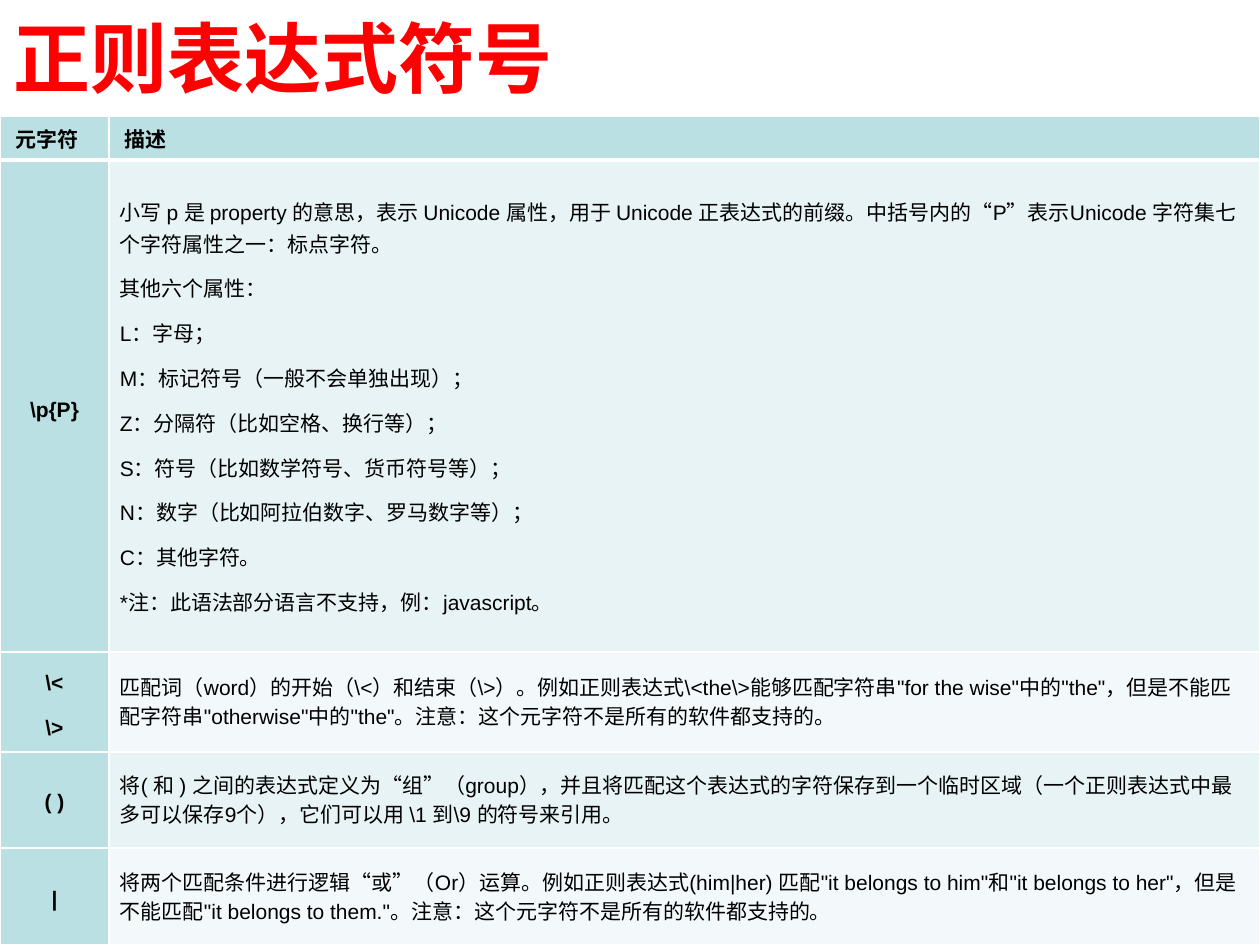
"""Builds a slide with a table of regular expression symbols."""
from lxml import etree
from pptx import Presentation
from pptx.dml.color import RGBColor
from pptx.enum.text import MSO_ANCHOR, MSO_AUTO_SIZE, PP_ALIGN
from pptx.oxml.ns import qn
from pptx.util import Pt

PIXEL = 914400 // 126
TITLE_ONLY = 5
LEFT, CENTER, RIGHT = PP_ALIGN.LEFT, PP_ALIGN.CENTER, PP_ALIGN.RIGHT
MIDDLE = MSO_ANCHOR.MIDDLE
NO_AUTOFIT = MSO_AUTO_SIZE.NONE

FONT = "Arial"
RED = RGBColor(0xFF, 0x00, 0x00)
BLACK = RGBColor(0x00, 0x00, 0x00)
WHITE = RGBColor(0xFF, 0xFF, 0xFF)
TEAL = RGBColor(0xBB, 0xE0, 0xE3)
BANDS = (RGBColor(0xE7, 0xF3, 0xF4), RGBColor(0xF3, 0xF9, 0xFA))

TITLE = "正则表达式符号"
HEADERS = ("元字符", "描述")
COLUMN_WIDTHS = (109, 1151)
HEADER_HEIGHT = 44
HEADER_INSET = 16
CELL_INSET = 11

# symbol, description, row height, symbol line spacing, description line spacing
ENTRIES = (
    ("\\p{P}",
     "小写 p 是 property 的意思，表示 Unicode 属性，用于 Unicode 正表达式的前缀。"
     "中括号内的“P”表示Unicode 字符集七个字符属性之一：标点字符。\n"
     "其他六个属性：\n"
     "L：字母；\n"
     "M：标记符号（一般不会单独出现）；\n"
     "Z：分隔符（比如空格、换行等）；\n"
     "S：符号（比如数学符号、货币符号等）；\n"
     "N：数字（比如阿拉伯数字、罗马数字等）；\n"
     "C：其他字符。\n"
     "*注：此语法部分语言不支持，例：javascript。",
     492, 18, 18),
    ("\\<\n\\>",
     "匹配词（word）的开始（\\<）和结束（\\>）。例如正则表达式\\<the\\>能够匹配字符串"
     "\"for the wise\"中的\"the\"，但是不能匹配字符串\"otherwise\"中的\"the\"。"
     "注意：这个元字符不是所有的软件都支持的。",
     100, 18, 16.5),
    ("( )",
     "将( 和 ) 之间的表达式定义为“组”（group），并且将匹配这个表达式的字符保存到"
     "一个临时区域（一个正则表达式中最多可以保存9个），它们可以用 \\1 到\\9 的符号来引用。",
     96, 16.5, 16.5),
    ("|",
     "将两个匹配条件进行逻辑“或”（Or）运算。例如正则表达式(him|her) 匹配"
     "\"it belongs to him\"和\"it belongs to her\"，但是不能匹配"
     "\"it belongs to them.\"。注意：这个元字符不是所有的软件都支持的。",
     97, 16.5, 16.5),
)


def px(pixels):
    """Turn pixels into EMU."""
    return round(pixels * PIXEL)


def write_text(frame, text, size=12, color=BLACK, bold=False, align=LEFT,
               line_spacing=None, gap=0):
    """Fill a text frame with one paragraph for each line of the text."""
    for index, line in enumerate(text.split("\n")):
        para = frame.add_paragraph() if index else frame.paragraphs[0]
        para.alignment = align
        para.space_before = para.space_after = Pt(gap)
        if line_spacing:
            para.line_spacing = Pt(line_spacing)
        span = para.add_run()
        span.text = line
        span.font.name = FONT
        span.font.size = Pt(size)
        span.font.bold = bold
        span.font.color.rgb = color


def set_borders(cell, **widths):
    """Draw white borders of 1 point, or of the width given for a side."""
    properties = cell._tc.get_or_add_tcPr()
    for index, side in enumerate("LRTB"):
        line = etree.Element(qn(f"a:ln{side}"), w=str(Pt(widths.get(side, 1))))
        fill = etree.SubElement(line, qn("a:solidFill"))
        etree.SubElement(fill, qn("a:srgbClr"), val=str(WHITE))
        properties.insert(index, line)


def fill_cell(cell, text, color, inset=CELL_INSET, borders=None, **text_format):
    """Write and format one table cell."""
    cell.vertical_anchor = MIDDLE
    cell.margin_left, cell.margin_right = px(inset), px(CELL_INSET)
    cell.margin_top = cell.margin_bottom = px(3)
    cell.fill.solid()
    cell.fill.fore_color.rgb = color
    set_borders(cell, **(borders or {}))
    write_text(cell.text_frame, text, gap=3.8, **text_format)


def add_title(page):
    """Place and format the slide title."""
    box = page.shapes.title
    box.left, box.top, box.width, box.height = px(-1), px(13), px(567), px(88)
    frame = box.text_frame
    frame.auto_size = NO_AUTOFIT
    frame.word_wrap = True
    frame.vertical_anchor = MIDDLE
    write_text(frame, TITLE, size=44, color=RED, bold=True, align=RIGHT)


def add_symbol_table(page):
    """Add the table of symbols and their descriptions."""
    heights = [HEADER_HEIGHT] + [entry[2] for entry in ENTRIES]
    table = page.shapes.add_table(
        len(heights), len(COLUMN_WIDTHS), 0, px(116),
        px(sum(COLUMN_WIDTHS)), px(sum(heights))).table
    table.first_row = table.horz_banding = False
    for column, width in zip(table.columns, COLUMN_WIDTHS):
        column.width = px(width)
    for row, height in zip(table.rows, heights):
        row.height = px(height)

    for index, header in enumerate(HEADERS):
        fill_cell(table.cell(0, index), header, TEAL, inset=HEADER_INSET,
                  borders={"B": 3}, bold=True, line_spacing=18)
    for row, entry in enumerate(ENTRIES, start=1):
        symbol, description, _, symbol_spacing, description_spacing = entry
        borders = {"T": 3} if row == 1 else {}
        fill_cell(table.cell(row, 0), symbol, TEAL, borders=borders,
                  bold=True, align=CENTER, line_spacing=symbol_spacing)
        fill_cell(table.cell(row, 1), description, BANDS[(row - 1) % 2],
                  borders=borders, line_spacing=description_spacing)


def main():
    """Build and save the deck."""
    deck = Presentation()
    deck.slide_width, deck.slide_height = px(1260), px(945)
    page = deck.slides.add_slide(deck.slide_layouts[TITLE_ONLY])
    add_title(page)
    add_symbol_table(page)
    deck.save("out.pptx")


main()
